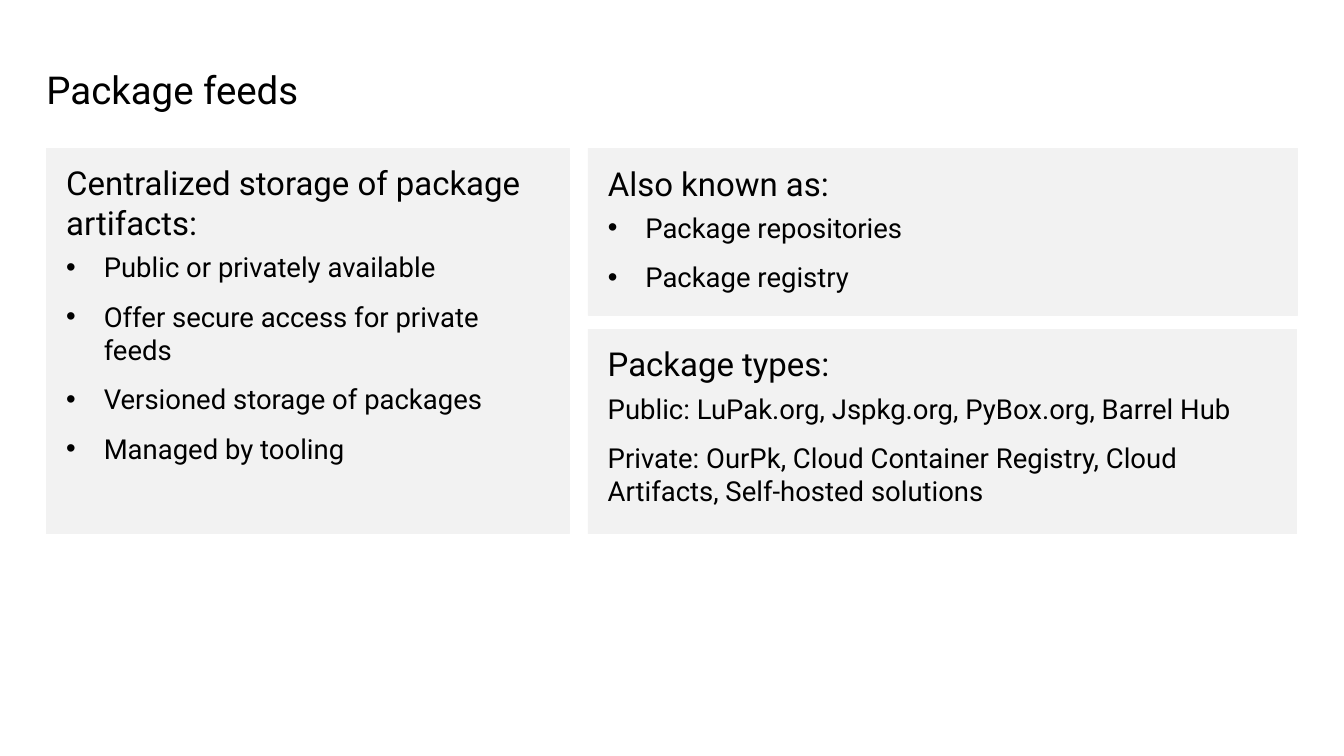
from lxml import etree
from pptx import Presentation
from pptx.dml.color import RGBColor
from pptx.enum.shapes import MSO_SHAPE
from pptx.enum.text import MSO_ANCHOR, PP_ALIGN
from pptx.oxml.ns import qn
from pptx.util import Pt

PX = 9144
RECTANGLE = MSO_SHAPE.RECTANGLE
TOP = MSO_ANCHOR.TOP
LEFT = PP_ALIGN.LEFT
FONT = "Roboto"
INK = "000000"
PANEL = "F2F2F2"
BULLET_INDENT = 38

PANELS = [
    ((47, 150, 529, 390), "Centralized storage of package artifacts:",
     ["Public or privately available", "Offer secure access for private feeds",
      "Versioned storage of packages", "Managed by tooling"], True),
    ((595, 150, 718, 169), "Also known as:",
     ["Package repositories", "Package registry"], True),
    ((595, 333, 717, 207), "Package types:",
     ["Public: LuPak.org, Jspkg.org, PyBox.org, Barrel Hub",
      "Private: OurPk, Cloud Container Registry, Cloud Artifacts, Self-hosted solutions"],
     False),
]


def color(hex_string):
    return RGBColor.from_string(hex_string)


def set_frame(frame, across=0, down=0):
    frame.word_wrap = True
    frame.vertical_anchor = TOP
    frame.margin_left = frame.margin_right = across * PX
    frame.margin_top = frame.margin_bottom = down * PX


def write(paragraph, text, size, gap=0, line=None, bullet=False):
    paragraph.alignment = LEFT
    paragraph.space_before = paragraph.space_after = Pt(gap)
    if line:
        paragraph.line_spacing = Pt(line)
    if bullet:
        properties = paragraph._p.get_or_add_pPr()
        properties.set("marL", str(BULLET_INDENT * PX))
        properties.set("indent", str(-BULLET_INDENT * PX))
        etree.SubElement(properties, qn("a:buFont"), typeface="Arial")
        etree.SubElement(properties, qn("a:buChar"), char="•")
    run = paragraph.add_run()
    run.text = text
    run.font.name = FONT
    run.font.size = Pt(size)
    run.font.color.rgb = color(INK)


def add_title(slide, box, text):
    title = slide.shapes.title
    title.left, title.top, title.width, title.height = [n * PX for n in box]
    set_frame(title.text_frame)
    write(title.text_frame.paragraphs[0], text, size=28, line=32)


def add_panel(slide, box, heading, items, bulleted):
    panel = slide.shapes.add_shape(RECTANGLE, *[n * PX for n in box])
    panel.shadow.inherit = False
    panel.fill.solid()
    panel.fill.fore_color.rgb = color(PANEL)
    panel.line.color.rgb = color(PANEL)
    panel.line.width = Pt(0.5)
    frame = panel.text_frame
    set_frame(frame, across=20, down=15)
    write(frame.paragraphs[0], heading, size=24)
    for item in items:
        write(frame.add_paragraph(), item, size=20, gap=6, bullet=bulleted)


def main():
    deck = Presentation()
    deck.slide_width = 1360 * PX
    deck.slide_height = 765 * PX
    slide = deck.slides.add_slide(deck.slide_layouts[5])
    add_title(slide, (47, 69, 1265, 45), "Package feeds")
    for box, heading, items, bulleted in PANELS:
        add_panel(slide, box, heading, items, bulleted)
    deck.save("out.pptx")


if __name__ == "__main__":
    main()
